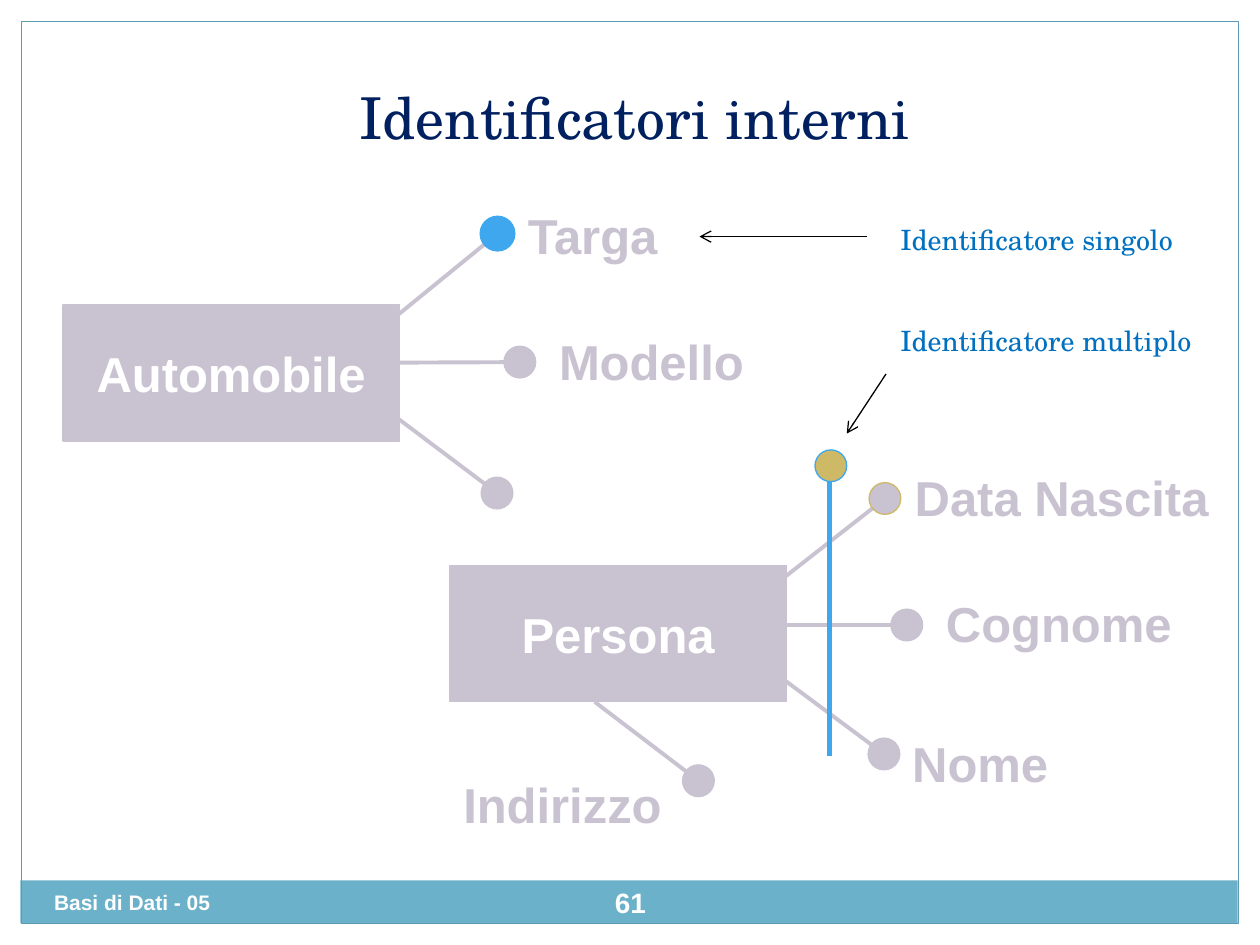
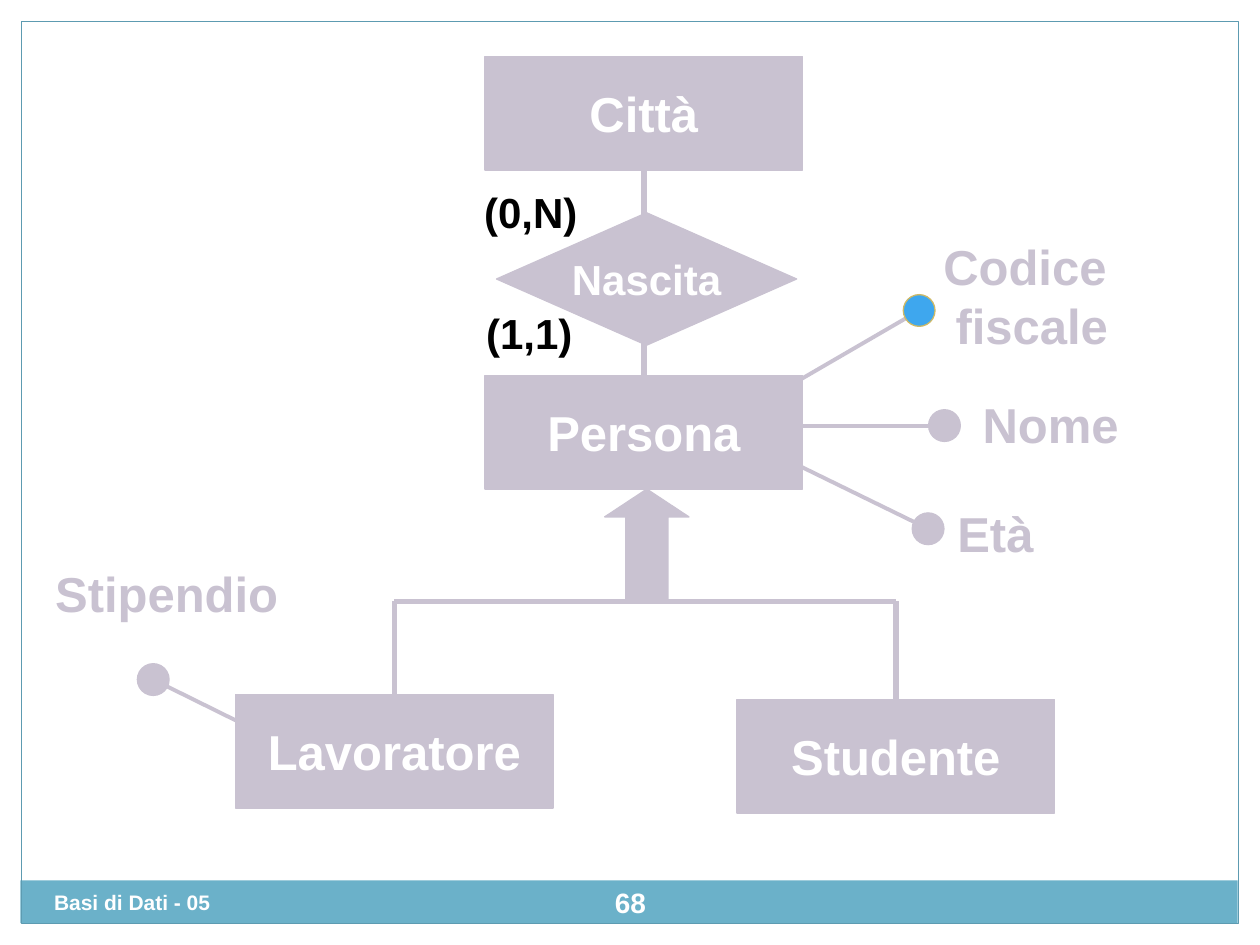
from dataclasses import dataclass

from lxml import etree
from pptx import Presentation
from pptx.dml.color import RGBColor
from pptx.enum.shapes import MSO_CONNECTOR, MSO_SHAPE
from pptx.enum.text import MSO_ANCHOR, MSO_AUTO_SIZE, PP_ALIGN
from pptx.oxml.ns import qn
from pptx.util import Cm, Pt

RECT, OVAL = MSO_SHAPE.RECTANGLE, MSO_SHAPE.OVAL
DIAMOND, UP_ARROW = MSO_SHAPE.DIAMOND, MSO_SHAPE.UP_ARROW
STRAIGHT = MSO_CONNECTOR.STRAIGHT
LEFT, CENTER, RIGHT = PP_ALIGN.LEFT, PP_ALIGN.CENTER, PP_ALIGN.RIGHT
TOP, MIDDLE = MSO_ANCHOR.TOP, MSO_ANCHOR.MIDDLE
FIT_SHAPE = MSO_AUTO_SIZE.SHAPE_TO_FIT_TEXT
TITLE_ONLY, BLANK = 5, 6
SIDE_TOP, SIDE_BOTTOM = 0, 2


@dataclass(frozen=True)
class Theme:
    sans: str = "Arial"
    serif: str = "TeX Gyre Schola"
    lilac: str = "C9C2D1"
    blue: str = "3EA7EE"
    gold: str = "CEB966"
    white: str = "FFFFFF"
    black: str = "000000"
    band: str = "6BB1C9"
    frame: str = "5D9BB1"
    title: str = "002060"
    note: str = "0070C0"
    title_size: float = 33
    large: float = 28
    medium: float = 24
    small: float = 16
    footer: float = 12
    hairline: float = 0.75
    branch: float = 2.25
    trunk: float = 3


T = Theme()


@dataclass(frozen=True)
class Style:
    size: float = T.large
    color: str = T.lilac
    font: str = T.sans
    bold: bool = True
    align: PP_ALIGN = LEFT
    anchor: MSO_ANCHOR = TOP


LABEL = Style()
LABEL_CENTER = Style(align=CENTER)
LABEL_RIGHT = Style(align=RIGHT)
ENTITY = Style(color=T.white, align=CENTER, anchor=MIDDLE)
RELATION = Style(T.medium, T.white, align=CENTER, anchor=MIDDLE)
CARDINALITY = Style(T.medium, T.black, align=CENTER, anchor=MIDDLE)
NOTE = Style(T.small, T.note, T.serif, False)
TITLE = Style(T.title_size, T.title, T.serif, False, CENTER, MIDDLE)
FOOTER = Style(T.footer, T.white)
NUMBER = Style(T.small, T.white, align=CENTER, anchor=MIDDLE)


@dataclass(frozen=True)
class Box:
    x: float
    y: float
    w: float
    h: float

    def lengths(self) -> tuple:
        return Cm(self.x), Cm(self.y), Cm(self.w), Cm(self.h)


@dataclass(frozen=True)
class Label:
    text: str
    box: Box
    style: Style = LABEL
    wrap: bool = True


@dataclass(frozen=True)
class Dot:
    x: float
    y: float
    fill: str = T.lilac
    border: str = T.lilac
    size: float = 0.64


@dataclass(frozen=True)
class Attribute:
    start: tuple[float, float]
    dot: Dot
    label: Label


def write(tf, text: str, style: Style, wrap: bool = False) -> None:
    tf.text = text
    tf.word_wrap = wrap
    tf.vertical_anchor = style.anchor
    for p in tf.paragraphs:
        p.alignment = style.align
        f = p.font
        f.size, f.name, f.bold = Pt(style.size), style.font, style.bold
        f.color.rgb = RGBColor.from_string(style.color)


def add_shape(slide, kind, box: Box, fill: str | None = T.lilac,
              border: str | None = T.lilac):
    sp = slide.shapes.add_shape(kind, *box.lengths())
    sp.shadow.inherit = False
    if fill:
        sp.fill.solid()
        sp.fill.fore_color.rgb = RGBColor.from_string(fill)
    else:
        sp.fill.background()
    if border:
        sp.line.color.rgb = RGBColor.from_string(border)
        sp.line.width = Pt(T.hairline)
    else:
        sp.line.fill.background()
    return sp


def add_node(slide, text: str, box: Box, kind=RECT, style: Style = ENTITY):
    sp = add_shape(slide, kind, box)
    write(sp.text_frame, text, style)
    return sp


def add_label(slide, label: Label):
    sp = slide.shapes.add_textbox(*label.box.lengths())
    write(sp.text_frame, label.text, label.style, label.wrap)
    sp.text_frame.auto_size = FIT_SHAPE
    return sp


def add_line(slide, start: tuple[float, float], end: tuple[float, float],
             color: str = T.lilac, width: float = T.branch, arrow: bool = False):
    cx = slide.shapes.add_connector(
        STRAIGHT, Cm(start[0]), Cm(start[1]), Cm(end[0]), Cm(end[1]))
    cx.line.color.rgb = RGBColor.from_string(color)
    cx.line.width = Pt(width)
    if arrow:
        etree.SubElement(cx.line._get_or_add_ln(), qn("a:tailEnd"), type="arrow")
    etree.SubElement(cx._element.spPr, qn("a:effectLst"))
    return cx


def add_dot(slide, dot: Dot) -> None:
    r = dot.size / 2
    add_shape(slide, OVAL, Box(dot.x - r, dot.y - r, dot.size, dot.size),
              dot.fill, dot.border)


def add_attribute(slide, a: Attribute) -> None:
    add_line(slide, a.start, (a.dot.x, a.dot.y))
    add_dot(slide, a.dot)
    add_label(slide, a.label)


def add_slide(prs, layout: int, number: int):
    slide = prs.slides.add_slide(prs.slide_layouts[layout])
    add_shape(slide, RECT, Box(0.41, 17.75, 24.54, 0.86), T.band, None)
    add_shape(slide, RECT, Box(0.43, 0.43, 24.54, 18.19), None, T.frame)
    add_label(slide, Label("Basi di Dati - 05", Box(0.84, 17.81, 9.96, 1.02),
                           FOOTER))
    sp = slide.shapes.add_textbox(*Box(11.86, 17.58, 1.7, 1.22).lengths())
    write(sp.text_frame, str(number), NUMBER, True)
    sp.text_frame.margin_left = sp.text_frame.margin_right = Cm(0.13)
    return slide


def build_identifiers(prs) -> None:
    slide = add_slide(prs, TITLE_ONLY, 61)
    title = slide.shapes.title
    title.left, title.top, title.width, title.height = Box(
        1.27, 1.07, 23.06, 2.54).lengths()
    write(title.text_frame, "Identificatori interni", TITLE, True)

    for text, x, y in (("Persona", 9.07, 11.4), ("Automobile", 1.27, 6.15)):
        add_node(slide, text, Box(x, y, 6.78, 2.74))

    attributes = (
        Attribute((15.72, 11.71), Dot(17.84, 10.05, border=T.gold),
                  Label("Data Nascita", Box(18.19, 9.3, 6.8, 1.45))),
        Attribute((15.82, 12.6), Dot(18.28, 12.6),
                  Label("Cognome", Box(18.82, 11.84, 5.5, 1.45))),
        Attribute((15.72, 13.64), Dot(17.82, 15.2),
                  Label("Nome", Box(18.14, 14.66, 3.7, 1.45))),
        Attribute((7.92, 6.43), Dot(10.03, 4.71, T.blue, T.blue, 0.7),
                  Label("Targa", Box(10.39, 4.01, 3.6, 1.45))),
        Attribute((8.03, 7.31), Dot(10.48, 7.3),
                  Label("Modello", Box(11.02, 6.55, 4.7, 1.45))),
        Attribute((11.99, 14.15), Dot(14.08, 15.74),
                  Label("Indirizzo", Box(8.59, 15.49, 5, 1.45), LABEL_RIGHT)),
    )
    for a in attributes:
        add_attribute(slide, a)
    add_line(slide, (7.92, 8.36), (10.02, 9.94))
    add_dot(slide, Dot(10.02, 9.94))

    add_line(slide, (16.72, 9.53), (16.72, 15.24), T.blue, T.trunk)
    add_dot(slide, Dot(16.75, 9.39, T.gold, T.blue))

    notes = (
        ("Identificatore singolo", Box(17.9, 4.37, 6.5, 0.94),
         (17.48, 4.77), (14.1, 4.77)),
        ("Identificatore multiplo", Box(17.9, 6.4, 6.8, 0.94),
         (17.86, 7.54), (17.07, 8.74)),
    )
    for text, box, start, end in notes:
        add_label(slide, Label(text, box, NOTE))
        add_line(slide, start, end, T.black, T.hairline, True)


def build_hierarchy(prs) -> None:
    slide = add_slide(prs, BLANK, 68)
    places = {"Città": (9.78, 1.14), "Persona": (9.78, 7.57),
              "Lavoratore": (4.75, 14.0), "Studente": (14.86, 14.1)}
    w, h = 6.4, 2.29
    entities = {name: add_node(slide, name, Box(x, y, w, h))
                for name, (x, y) in places.items()}

    axis = places["Persona"][0] + w / 2
    link = add_line(slide, (axis, 3.43), (axis, 7.57), width=T.trunk)
    link.begin_connect(entities["Città"], SIDE_BOTTOM)
    link.end_connect(entities["Persona"], SIDE_TOP)
    add_node(slide, "Nascita", Box(10.01, 4.29, 6.05, 2.67), DIAMOND, RELATION)
    add_label(slide, Label("(0,N)", Box(9.3, 3.63, 2.8, 1.27), CARDINALITY))
    add_label(slide, Label("(1,1)", Box(9.27, 6.07, 2.8, 1.27), CARDINALITY))

    attributes = (
        Attribute((16.05, 7.7), Dot(18.53, 6.26, T.blue, T.gold),
                  Label("Codice \nfiscale", Box(18.55, 4.65, 4.5, 2.64),
                        LABEL_CENTER, False)),
        Attribute((16.15, 8.58), Dot(19.04, 8.58),
                  Label("Nome", Box(19.56, 7.82, 3.7, 1.45))),
        Attribute((16.03, 9.35), Dot(18.71, 10.66),
                  Label("Età", Box(19.05, 10.03, 2.5, 1.45))),
        Attribute((4.85, 14.57), Dot(3.09, 13.7),
                  Label("Stipendio", Box(0.61, 11.23, 5.5, 1.45), LABEL_CENTER)),
    )
    for a in attributes:
        add_attribute(slide, a)

    bar_y = 12.12
    ends = []
    for name in ("Lavoratore", "Studente"):
        x, y = places[name]
        ends.append((x + w / 2, bar_y))
        drop = add_line(slide, ends[-1], (x + w / 2, y), width=T.trunk)
        drop.end_connect(entities[name], SIDE_TOP)
    add_line(slide, *ends, width=T.trunk)
    arrow = add_shape(slide, UP_ARROW, Box(12.19, 9.86, 1.7, 2.26))
    arrow.adjustments[0], arrow.adjustments[1] = 0.5, 0.33


def main() -> None:
    prs = Presentation()
    prs.slide_width, prs.slide_height = Cm(25.4), Cm(19.05)
    build_identifiers(prs)
    build_hierarchy(prs)
    prs.save("out.pptx")


if __name__ == "__main__":
    main()
